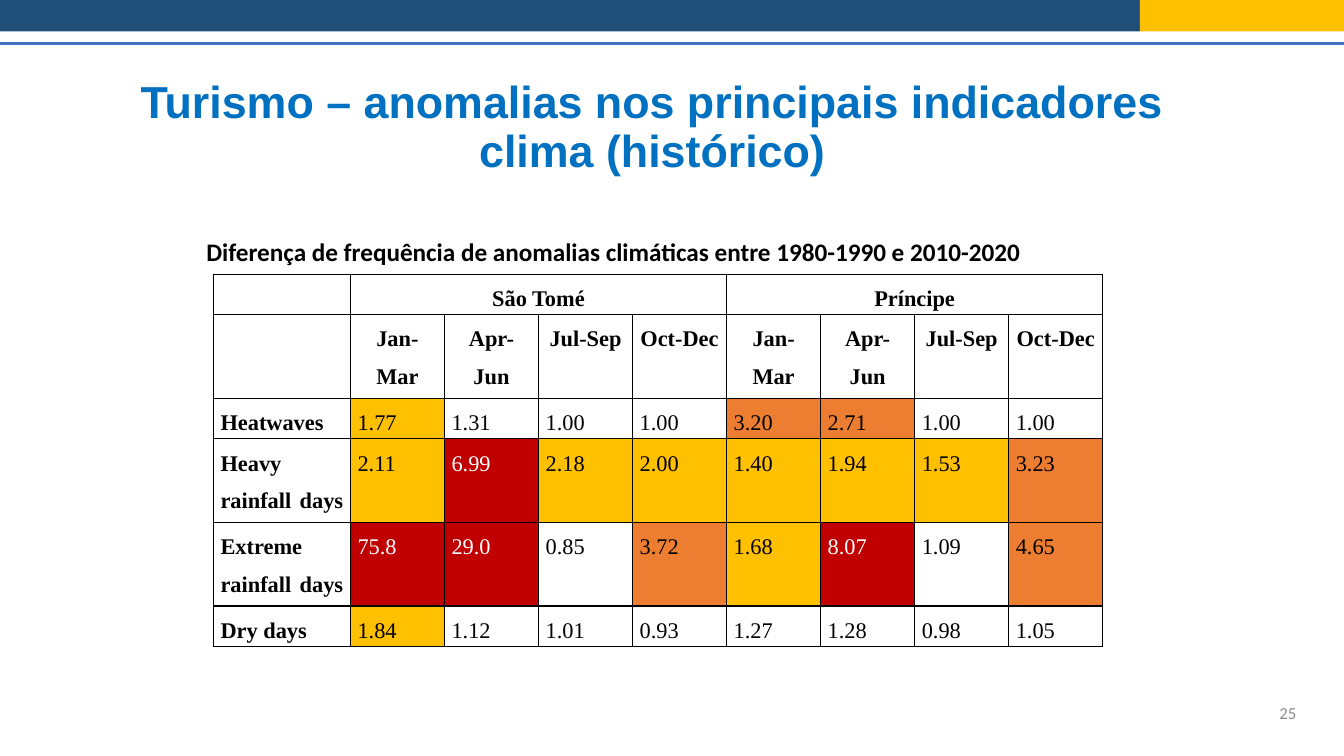
"""Build the slide on tourism and historical climate anomalies."""
from lxml.etree import SubElement
from pptx import Presentation
from pptx.dml.color import RGBColor
from pptx.enum.shapes import MSO_CONNECTOR, MSO_SHAPE
from pptx.enum.text import MSO_ANCHOR, PP_ALIGN
from pptx.oxml.ns import qn
from pptx.util import Cm, Pt

TITLE = "Turismo – anomalias nos principais indicadores clima (histórico)"
CAPTION = "Diferença de frequência de anomalias climáticas entre 1980-1990 e 2010-2020"
NUMBER = "25"
ISLANDS = ["São Tomé", "Príncipe"]
TERMS = ["Jan-Mar", "Apr-Jun", "Jul-Sep", "Oct-Dec"]
DATA = {
    "Heatwaves ": "1.77 1.31 1.00 1.00 3.20 2.71 1.00 1.00",
    "Heavy rainfall days ": "2.11 6.99 2.18 2.00 1.40 1.94 1.53 3.23",
    "Extreme rainfall days ": "75.8 29.0 0.85 3.72 1.68 8.07 1.09 4.65",
    "Dry days ": "1.84 1.12 1.01 0.93 1.27 1.28 0.98 1.05",
}
COLORS = {
    "title": "0070C0", "navy": "1F4E79", "gold": "FFC000", "rule": "4472C4",
    "orange": "ED7D31", "red": "C00000", "black": "000000", "white": "FFFFFF",
    "gray": "8C8C8C",
}
LEVELS = [(5, "red"), (2.5, "orange"), (1.4, "gold")]
BARS = [(-0.05, 28.78, "navy"), (28.73, 5.64, "gold")]
HEIGHTS = [0.99, 2.11, 0.99, 2.11, 2.11, 0.99]
LABEL_W, TERM_W = 3.45, 2.37


def color(name):
    return RGBColor.from_string(COLORS[name])


def write(frame, text, size, face, tint, bold=False, align=PP_ALIGN.LEFT):
    para = frame.paragraphs[0]
    para.alignment = align
    run = para.add_run()
    run.text = text
    font = run.font
    font.size, font.name, font.bold = Pt(size), face, bold
    font.color.rgb = color(tint)
    return para


def add_box(slide, left, top, width, height):
    frame = slide.shapes.add_textbox(Cm(left), Cm(top), Cm(width), Cm(height)).text_frame
    frame.word_wrap = True
    return frame


def add_title(slide):
    title = slide.shapes.title
    title.left, title.top, title.width, title.height = Cm(2.33), Cm(1.4), Cm(28.22), Cm(3.68)
    title.text_frame.vertical_anchor = MSO_ANCHOR.MIDDLE
    para = write(title.text_frame, TITLE, 32, "Arial", "title", True, PP_ALIGN.CENTER)
    para.line_spacing = 0.9


def add_band(slide):
    for left, width, tint in BARS:
        bar = slide.shapes.add_shape(MSO_SHAPE.RECTANGLE, Cm(left), Cm(-0.1), Cm(width), Cm(0.89))
        bar.shadow.inherit = False
        bar.fill.solid()
        bar.fill.fore_color.rgb = color(tint)
        bar.line.fill.background()
    rule = slide.shapes.add_connector(MSO_CONNECTOR.STRAIGHT, Cm(-0.05), Cm(1.1), Cm(33.87), Cm(1.1))
    rule.line.color.rgb = color("rule")
    rule.line.width = Pt(2.25)
    SubElement(rule._element.spPr, qn("a:effectLst"))


def style(cell):
    cell.margin_left = cell.margin_right = Cm(0.18)
    cell.margin_top = cell.margin_bottom = 0
    props = cell._tc.get_or_add_tcPr()
    for side in ("lnL", "lnR", "lnT", "lnB"):
        edge = SubElement(props, qn(f"a:{side}"), w=str(Pt(1)))
        fill = SubElement(edge, qn("a:solidFill"))
        SubElement(fill, qn("a:srgbClr"), val=COLORS["black"])
    cell.fill.background()


def put(cell, text, align, bold=True, tint="black"):
    para = write(cell.text_frame, text, 16, "Times New Roman", tint, bold, align)
    para.line_spacing = 1.5
    para.space_after = Pt(8)


def put_value(cell, text):
    level = next((name for low, name in LEVELS if float(text) >= low), None)
    if level:
        cell.fill.solid()
        cell.fill.fore_color.rgb = color(level)
    put(cell, text, PP_ALIGN.JUSTIFY, False, "white" if level == "red" else "black")


def add_grid(slide):
    terms = TERMS * len(ISLANDS)
    widths = [LABEL_W] + [TERM_W] * len(terms)
    table = slide.shapes.add_table(len(HEIGHTS), len(widths), Cm(5.38), Cm(6.91),
                                   Cm(sum(widths)), Cm(sum(HEIGHTS))).table
    table.first_row = table.horz_banding = False
    for col, width in zip(table.columns, widths):
        col.width = Cm(width)
    for row, height in zip(table.rows, HEIGHTS):
        row.height = Cm(height)
    for cell in table.iter_cells():
        style(cell)
    span = len(TERMS)
    for i, island in enumerate(ISLANDS):
        head = table.cell(0, 1 + i * span)
        head.merge(table.cell(0, (i + 1) * span))
        put(head, island, PP_ALIGN.CENTER)
    for c, term in enumerate(terms, 1):
        put(table.cell(1, c), term, PP_ALIGN.CENTER)
    for r, (label, values) in enumerate(DATA.items(), 2):
        put(table.cell(r, 0), label, PP_ALIGN.JUSTIFY)
        for c, value in enumerate(values.split(), 1):
            put_value(table.cell(r, c), value)


def main():
    deck = Presentation()
    deck.slide_width, deck.slide_height = Cm(33.87), Cm(19.05)
    slide = deck.slides.add_slide(deck.slide_layouts[5])
    add_title(slide)
    number = add_box(slide, 25.3, 17.46, 7.62, 1.01)
    number.vertical_anchor = MSO_ANCHOR.MIDDLE
    write(number, NUMBER, 12, "Calibri", "gray", align=PP_ALIGN.RIGHT)
    add_band(slide)
    add_grid(slide)
    write(add_box(slide, 4.95, 5.82, 23.95, 1.02), CAPTION, 18, "Calibri", "black", True)
    deck.save("out.pptx")


if __name__ == "__main__":
    main()
